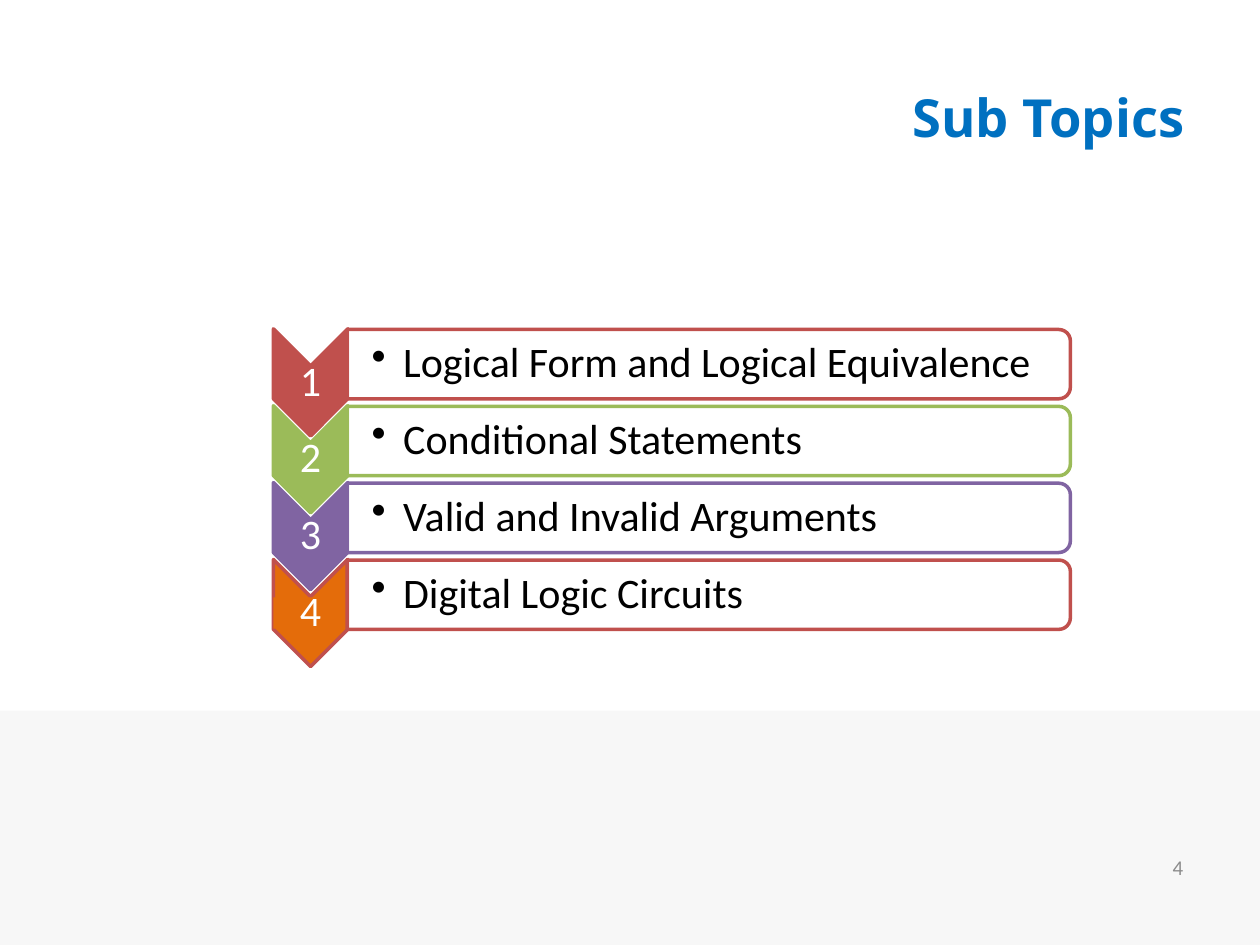
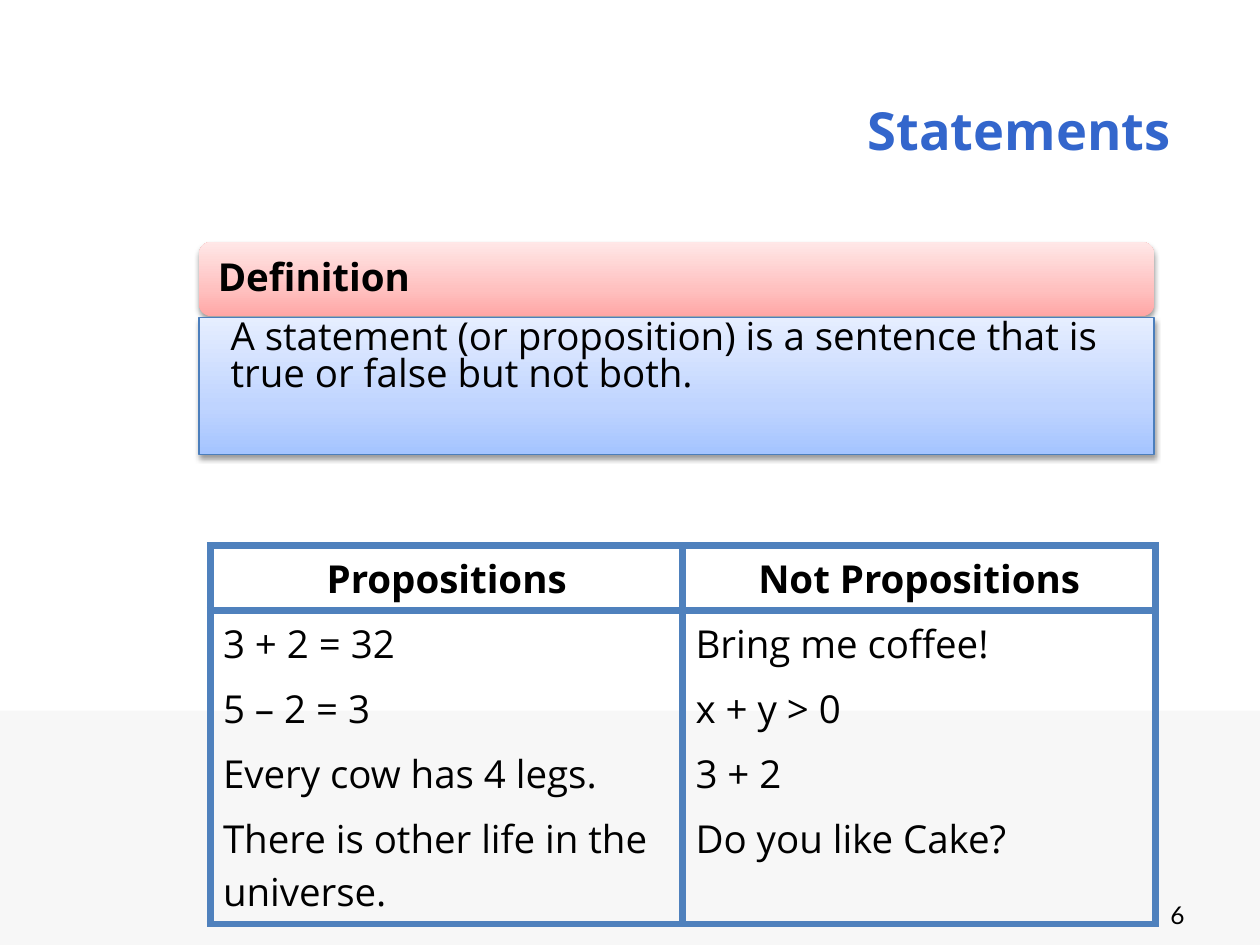
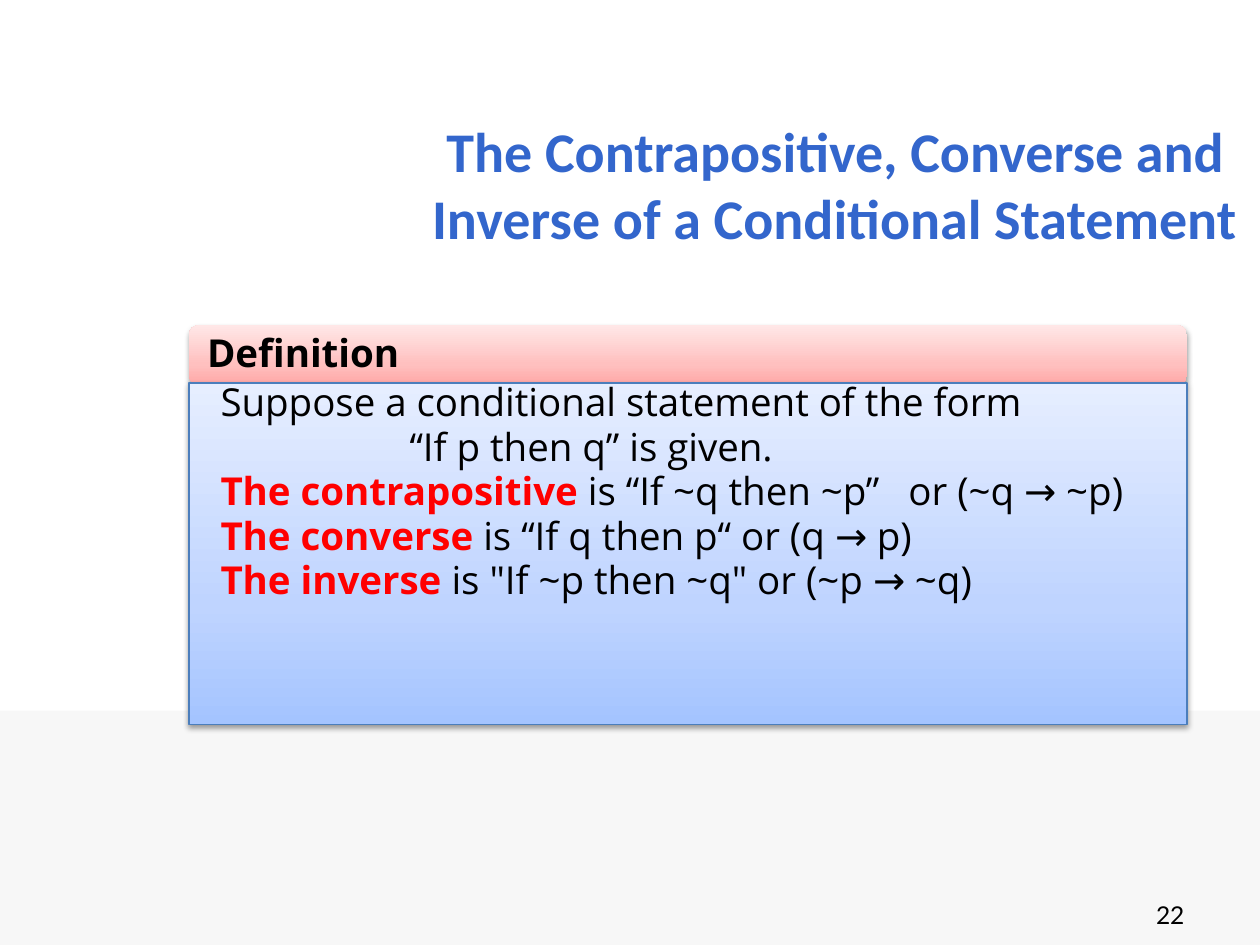
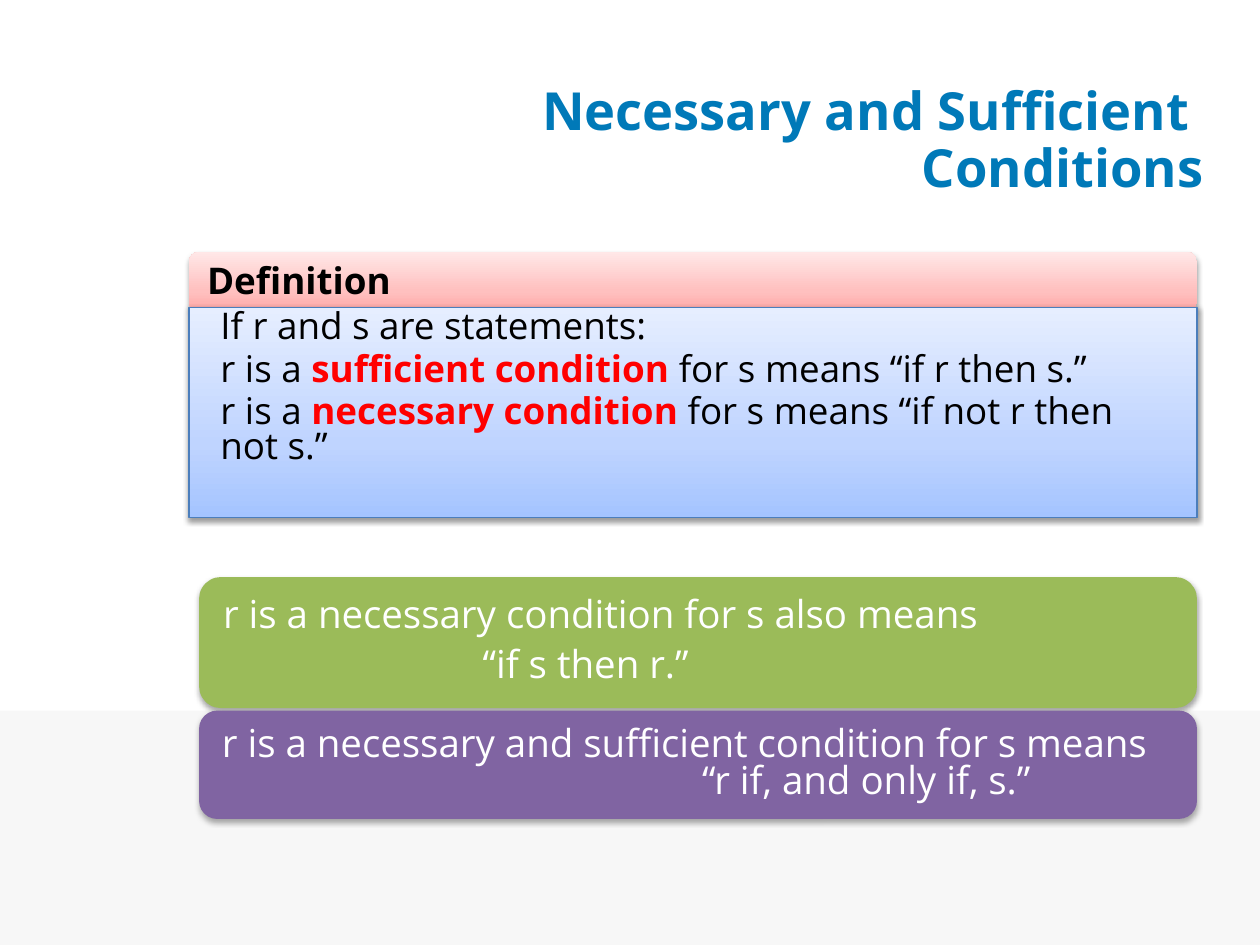
from copy import deepcopy

from lxml.etree import SubElement
from pptx import Presentation
from pptx.dml.color import RGBColor
from pptx.enum.shapes import MSO_SHAPE
from pptx.enum.text import MSO_ANCHOR, MSO_AUTO_SIZE, PP_ALIGN
from pptx.oxml.ns import qn
from pptx.util import Emu, Pt

# Shared look; lengths are px, 100 to the inch
SCALE = 9144
SANS, CALIBRI, LATO = "Open Sans", "Calibri", "Lato"
BLACK, WHITE, RED, GREY = "000000", "FFFFFF", "FF0000", "8C8C8C"
BLUE, SKY, TEAL = "3366CC", "0070C0", "0079B8"
BRICK, GREEN, PURPLE, ORANGE = "C0504D", "9BBB59", "8064A2", "E46C0A"
BAND, TABLE_LINE, BODY_LINE = "F7F7F7", "4F81BD", "4B7EBC"
PINK_STOPS = [(0, "FFA6A5"), (0.35, "FFC0BF"), (1, "FFE7E7")]
BLUE_STOPS = [(0, "A4C4FF"), (0.35, "BFD4FF"), (1, "E6EEFF")]
PLAIN_INSETS = (10, 5, 10, 5)

# Content: ** marks emphasis, a tuple adds paragraph layout
TOPICS = [
    ("Logical Form and Logical Equivalence", BRICK, BRICK),
    ("Conditional Statements", GREEN, GREEN),
    ("Valid and Invalid Arguments", PURPLE, PURPLE),
    ("Digital Logic Circuits", ORANGE, BRICK),
]
STATEMENT = ["A statement (or proposition) is a sentence that is true or false but not both."]
PROPOSITIONS = [
    ("Propositions", "Not Propositions"),
    ("3 + 2 = 32", "Bring me coffee!"),
    ("5 – 2 = 3", "x + y > 0"),
    ("Every cow has 4 legs.", "3 + 2"),
    ("There is other life in the universe.", "Do you like Cake?"),
]
ROW_HEIGHTS = [40, 47, 47, 47, 78]
CONDITIONAL_FORMS = [
    "Suppose a conditional statement of the form",
    ("“If p then q” is given.", {"left": 150}),
    ("**The contrapositive **is “If ~q then ~p”\tor (~q → ~p)", {"tab": 546}),
    "**The converse **is “If q then p“ or (q → p)",
    "**The inverse **is \"If ~p then ~q\" or (~p → ~q)",
]
CONDITIONS = [
    "If r and s are statements:",
    "r is a **sufficient condition **for s means “if r then s.”",
    "r is a **necessary condition **for s means “if not r then not s.”",
]
MEANINGS = [
    (458, 104, GREEN, ["r is a necessary condition for s also means",
                       ("“if s then r.”", {"left": 206})]),
    (564, 86, PURPLE, [("r is a necessary and sufficient condition for s means\v“r if, and only if, s.”",
                        {"left": 381, "hang": 381})]),
]


def px(length):
    return Emu(round(length * SCALE))


def place(*lengths):
    return [px(length) for length in lengths]


def rgb(color):
    return RGBColor.from_string(color)


# Text
def lay_out(para, left=0, hang=0, tab=None, bullet=None):
    properties = para._p.get_or_add_pPr()
    if left or hang:
        properties.set("marL", str(px(left)))
        properties.set("indent", str(px(-hang)))
    if bullet:
        SubElement(properties, qn("a:buChar"), char=bullet)
    if tab:
        tabs = SubElement(properties, qn("a:tabLst"))
        SubElement(tabs, qn("a:tab"), pos=str(px(tab)), algn="l")


def write(frame, lines, size, color=BLACK, font=SANS, bold=False, align=PP_ALIGN.LEFT,
          anchor=MSO_ANCHOR.MIDDLE, insets=PLAIN_INSETS, spacing=1.0, after=0.0):
    frame.word_wrap = True
    frame.auto_size = MSO_AUTO_SIZE.NONE
    frame.vertical_anchor = anchor
    (frame.margin_left, frame.margin_top,
     frame.margin_right, frame.margin_bottom) = place(*insets)
    for index, line in enumerate(lines):
        text, layout = line if isinstance(line, tuple) else (line, {})
        para = frame.paragraphs[0] if index == 0 else frame.add_paragraph()
        lay_out(para, **layout)
        para.alignment = align
        para.line_spacing = spacing
        para.space_before = Pt(0)
        para.space_after = Pt(round(size * after, 1))
        parts = text.split("**")
        if len(parts) == 1:
            para.text = text
        else:
            for part in parts:
                para.add_run().text = part
        for position, span in enumerate(para.runs):
            marked = position % 2 == 1 and len(parts) > 1
            span.font.name = font
            span.font.size = Pt(size)
            span.font.bold = bold or marked
            span.font.color.rgb = rgb(RED if marked else color)


def add_text(page, box, lines, size, **style):
    text_box = page.shapes.add_textbox(*place(*box))
    write(text_box.text_frame, lines, size, **style)
    return text_box


def add_number(page, box, number, size, color, font):
    add_text(page, box, [number], size, color=color, font=font, align=PP_ALIGN.RIGHT)


def add_page(deck, title, box, color, size=30, font=SANS, spacing=1.0):
    page = deck.slides.add_slide(deck.slide_layouts[5])
    holder = page.shapes.title
    holder.left, holder.top, holder.width, holder.height = place(*box)
    write(holder.text_frame, title, size, color=color, font=font, bold=True,
          align=PP_ALIGN.RIGHT, spacing=spacing)
    return page


# Shapes
def add_block(page, kind, box, fill, line=None, weight=2.0, turn=0):
    block = page.shapes.add_shape(kind, *place(*box))
    block.shadow.inherit = False
    block.rotation = turn
    if isinstance(fill, str):
        block.fill.solid()
        block.fill.fore_color.rgb = rgb(fill)
    else:
        block.fill.gradient()
        block.fill.gradient_angle = 90
        stop_list = block.element.spPr.find(".//" + qn("a:gsLst"))
        stop_list.append(deepcopy(stop_list[-1]))
        for stop, (position, color) in zip(block.fill.gradient_stops, fill):
            stop.position = position
            stop.color.rgb = rgb(color)
    if line:
        block.line.color.rgb = rgb(line)
        block.line.width = Pt(weight)
    else:
        block.line.fill.background()
    return block


def cast_shadow(block, distance, opacity):
    effects = block.element.spPr.find(qn("a:effectLst"))
    shadow = SubElement(effects, qn("a:outerShdw"), blurRad="40000", dist=str(distance),
                        dir="5400000", rotWithShape="0")
    color = SubElement(shadow, qn("a:srgbClr"), val=BLACK)
    SubElement(color, qn("a:alpha"), val=str(opacity * 1000))


def add_definition(page, left, width, header, body, lines, size):
    head_box = add_block(page, MSO_SHAPE.ROUNDED_RECTANGLE,
                         (left, header[0], width, header[1]), PINK_STOPS)
    write(head_box.text_frame, ["Definition"], size, bold=True, insets=(12, 9, 12, 9), spacing=0.9)
    body_box = add_block(page, MSO_SHAPE.RECTANGLE, (left, body[0], width, body[1]),
                         BLUE_STOPS, BODY_LINE, 0.75)
    write(body_box.text_frame, lines, size, anchor=MSO_ANCHOR.TOP,
          insets=(25, 3, 16, 3), spacing=0.8, after=0.2)
    for box in (head_box, body_box):
        cast_shadow(box, 20000, 38)


def add_band(deck, page):
    band = add_block(page, MSO_SHAPE.RECTANGLE, (0, 564, 1000, 186), BAND)
    deck.slide_master.shapes.element.insert(2, band.element)


# Table
def draw_borders(cell, sides):
    properties = cell._tc.get_or_add_tcPr()
    for side in "LRTB":
        border = SubElement(properties, qn("a:ln" + side), w=str(Pt(4.5)))
        if side in sides:
            fill = SubElement(border, qn("a:solidFill"))
            SubElement(fill, qn("a:srgbClr"), val=TABLE_LINE)
        else:
            SubElement(border, qn("a:noFill"))


def add_propositions(page):
    rows, columns = len(PROPOSITIONS), len(PROPOSITIONS[0])
    table = page.shapes.add_table(rows, columns, *place(167, 433, 750, sum(ROW_HEIGHTS))).table
    table.horz_banding = False
    for row, texts in enumerate(PROPOSITIONS):
        table.rows[row].height = px(ROW_HEIGHTS[row])
        header = row == 0
        sides = "LR" + ("T" if row <= 1 else "") + ("B" if row in (0, rows - 1) else "")
        for column, text in enumerate(texts):
            cell = table.cell(row, column)
            draw_borders(cell, sides)
            cell.fill.background()
            write(cell.text_frame, [text], 22, bold=header,
                  align=PP_ALIGN.CENTER if header else PP_ALIGN.LEFT)
            cell.vertical_anchor = MSO_ANCHOR.MIDDLE if header else MSO_ANCHOR.TOP
            (cell.margin_left, cell.margin_top,
             cell.margin_right, cell.margin_bottom) = place(*PLAIN_INSETS)


# Topic rows: a turned chevron with its number, then a turned card with its text
def add_topics(page):
    for index, (topic, fill, line) in enumerate(TOPICS):
        drop = index * 61
        add_block(page, MSO_SHAPE.CHEVRON, (204, 274 + drop, 85, 59), fill, line, turn=90)
        label = add_text(page, (217, 291 + drop, 59, 25), [str(index + 1)], 24, color=WHITE,
                         font=CALIBRI, align=PP_ALIGN.CENTER, insets=(2, 2, 2, 2), spacing=0.9)
        if fill != line:
            label.fill.solid()
            label.fill.fore_color.rgb = rgb(fill)
        card = add_block(page, MSO_SHAPE.ROUND_2_SAME_RECTANGLE, (535, 2 + drop, 55, 574),
                         WHITE, line, turn=90)
        white = card.element.spPr.find(qn("a:solidFill"))[0]
        SubElement(white, qn("a:alpha"), val="90000")
        add_text(page, (276, 264 + drop, 571, 50),
                 [(topic, {"left": 25, "hang": 25, "bullet": "•"})], 24,
                 font=CALIBRI, insets=(19, 2, 2, 2), spacing=0.9)


def main():
    deck = Presentation()
    deck.slide_width, deck.slide_height = place(1000, 750)
    corner = (717, 706, 233, 40)

    # Sub topics
    page = add_page(deck, ["Sub Topics"], (177, 30, 773, 125), SKY)
    add_band(deck, page)
    add_topics(page)
    add_number(page, (772, 675, 177, 26), "4", 12, GREY, CALIBRI)

    # Statements
    page = add_page(deck, ["Statements "], (50, 40, 900, 125), BLUE)
    add_number(page, corner, "6", 14, BLACK, LATO)
    add_propositions(page)
    add_definition(page, 158, 758, (192, 59), (252, 109), STATEMENT, 22)

    # Contrapositive, converse and inverse
    page = add_page(deck, ["The Contrapositive, Converse and ", "Inverse of a Conditional Statement"],
                    (92, 83, 900, 125), BLUE, 32, CALIBRI)
    add_number(page, corner, "22", 14, BLACK, LATO)
    add_definition(page, 150, 792, (258, 48), (304, 271), CONDITIONAL_FORMS, 22)

    # Necessary and sufficient conditions
    page = add_page(deck, ["Necessary and Sufficient \vConditions"], (192, 50, 773, 125),
                    TEAL, spacing=0.9)
    add_definition(page, 150, 800, (200, 48), (244, 167), CONDITIONS, 21)
    for top, height, fill, lines in MEANINGS:
        box = add_block(page, MSO_SHAPE.ROUNDED_RECTANGLE, (158, top, 792, height), fill)
        cast_shadow(box, 23000, 35)
        write(box.text_frame, lines, 22, color=WHITE, insets=(14, 9, 9, 9), spacing=0.8, after=0.35)

    deck.save("out.pptx")


if __name__ == "__main__":
    main()
